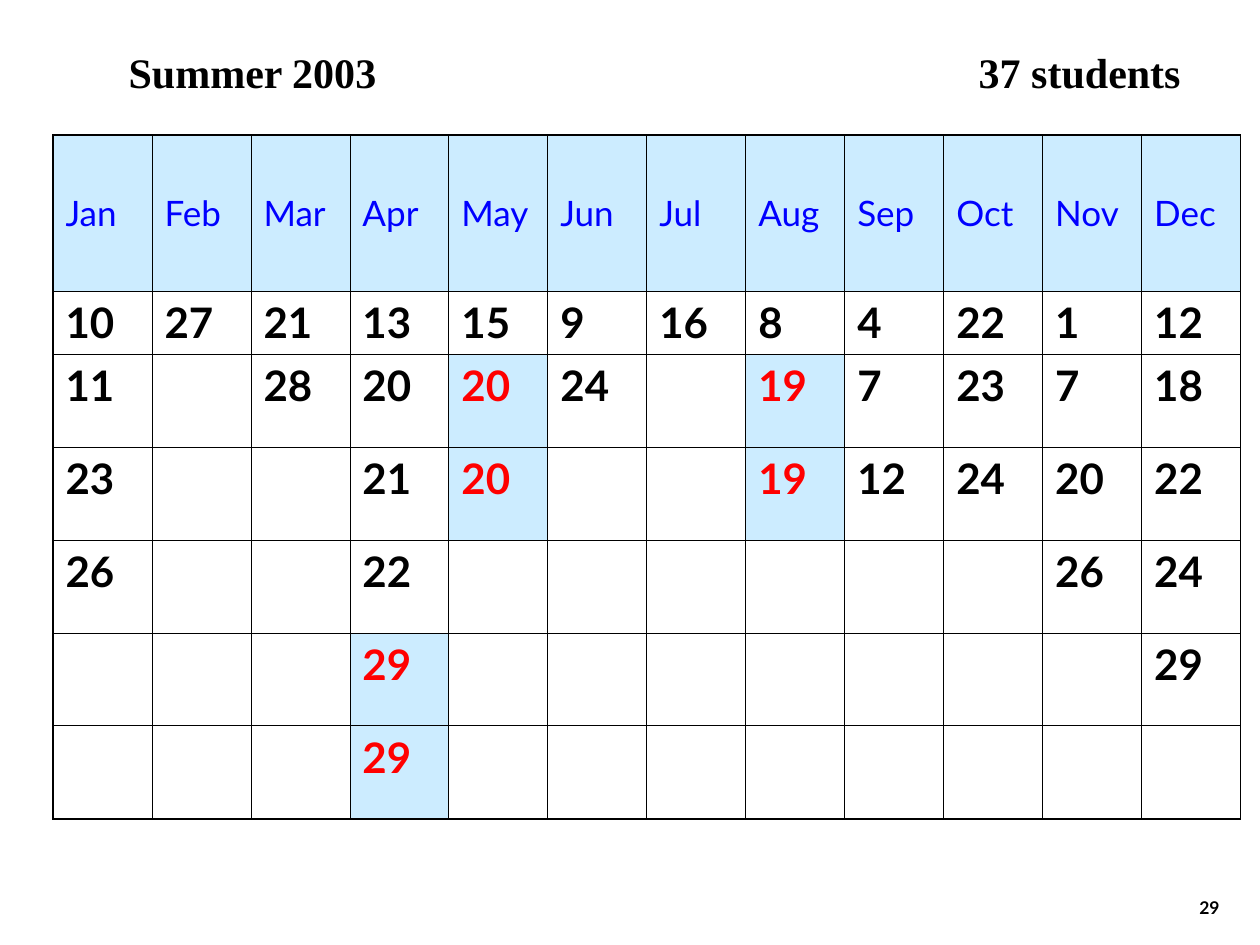
from dataclasses import dataclass

import pptx
import pptx.dml.color
import pptx.enum.text
import pptx.oxml
import pptx.oxml.ns
import pptx.util

ANCHOR = pptx.enum.text.MSO_ANCHOR
ALIGN = pptx.enum.text.PP_ALIGN
SCALE = 914400 / 126


@dataclass(frozen=True)
class Theme:
    ink: str = "000000"
    month: str = "0000FF"
    alert: str = "FF0000"
    tint: str = "CCECFF"
    sans: str = "Lato"
    serif: str = "Times New Roman"
    head: int = 24
    label: int = 20
    day: int = 24
    page: int = 10
    thick: float = 1.08
    thin: float = 0.45


@dataclass(frozen=True)
class Box:
    left: int
    top: int
    width: int
    height: int


@dataclass(frozen=True)
class Month:
    name: str
    days: tuple[int, ...]
    hot: tuple[int, ...] = ()


THEME = Theme()
TITLE = Box(116, 40, 1081, 63)
PAGE = Box(970, 861, 262, 63)
GRID = Box(53, 135, 1188, 684)
ROWS = (156, 63, 93, 93, 93, 93, 93)
TAB = 1052
MONTHS = (
    Month("Jan", (10, 11, 23, 26)),
    Month("Feb", (27,)),
    Month("Mar", (21, 28)),
    Month("Apr", (13, 20, 21, 22, 29, 29), hot=(29,)),
    Month("May", (15, 20, 20), hot=(20,)),
    Month("Jun", (9, 24)),
    Month("Jul", (16,)),
    Month("Aug", (8, 19, 19), hot=(19,)),
    Month("Sep", (4, 7, 12)),
    Month("Oct", (22, 23, 24)),
    Month("Nov", (1, 7, 20, 26)),
    Month("Dec", (12, 18, 22, 24, 29)),
)


def px(count: int) -> int:
    return round(count * SCALE)


def place(box: Box) -> tuple[int, ...]:
    return tuple(px(n) for n in (box.left, box.top, box.width, box.height))


def style(para, face: str, size: int, color: str, bold: bool = True) -> None:
    font = para.font
    font.name, font.size, font.bold = face, pptx.util.Pt(size), bold
    font.color.rgb = pptx.dml.color.RGBColor.from_string(color)


def edge(cell, widths: dict[str, float]) -> None:
    """Draw the cell borders, given in points and in schema order."""
    props = cell._tc.get_or_add_tcPr()
    for spot, (side, width) in enumerate(widths.items()):
        props.insert(spot, pptx.oxml.parse_xml(
            f'<a:ln{side} {pptx.oxml.ns.nsdecls("a")} w="{pptx.util.Pt(width)}">'
            f'<a:solidFill><a:srgbClr val="{THEME.ink}"/></a:solidFill>'
            f'</a:ln{side}>'))


def tint(cell, on: bool) -> None:
    if on:
        cell.fill.solid()
        cell.fill.fore_color.rgb = pptx.dml.color.RGBColor.from_string(THEME.tint)
    else:
        cell.fill.background()


def add_title(slide) -> None:
    shape = slide.shapes.title
    shape.left, shape.top, shape.width, shape.height = place(TITLE)
    frame = shape.text_frame
    frame.word_wrap = True
    frame.auto_size = pptx.enum.text.MSO_AUTO_SIZE.NONE
    frame.vertical_anchor = ANCHOR.BOTTOM
    para = frame.paragraphs[0]
    para.text = "Summer 2003\t37 students"
    para.alignment = ALIGN.LEFT
    para._p.get_or_add_pPr().append(pptx.oxml.parse_xml(
        f'<a:tabLst {pptx.oxml.ns.nsdecls("a")}>'
        f'<a:tab pos="{px(TAB)}" algn="r"/></a:tabLst>'))
    style(para, THEME.serif, THEME.head, THEME.ink)


def add_page(slide) -> None:
    frame = slide.shapes.add_textbox(*place(PAGE)).text_frame
    frame.word_wrap = True
    frame.vertical_anchor = ANCHOR.BOTTOM
    para = frame.paragraphs[0]
    para.text = "29"
    para.alignment = ALIGN.RIGHT
    style(para, THEME.sans, THEME.page, THEME.ink)


def fill_month(table, col: int, month: Month) -> None:
    last = len(ROWS) - 1
    for row in range(len(ROWS)):
        cell = table.cell(row, col)
        day = month.days[row - 1] if 0 < row <= len(month.days) else None
        hot = day in month.hot
        tint(cell, row == 0 or hot)
        outer = {"L": col == 0, "R": col == len(MONTHS) - 1,
                 "T": row == 0, "B": row == last}
        edge(cell, {side: THEME.thick if rim else THEME.thin
                    for side, rim in outer.items()})
        para = cell.text_frame.paragraphs[0]
        if row == 0:
            cell.vertical_anchor = ANCHOR.MIDDLE
            para.text = month.name
            style(para, THEME.sans, THEME.label, THEME.month, bold=False)
        elif day is not None:
            para.text = str(day)
            style(para, THEME.sans, THEME.day, THEME.alert if hot else THEME.ink)


def add_grid(slide) -> None:
    table = slide.shapes.add_table(len(ROWS), len(MONTHS), *place(GRID)).table
    table.first_row = table.horz_banding = False
    for row, height in zip(table.rows, ROWS):
        row.height = px(height)
    for col, month in enumerate(MONTHS):
        table.columns[col].width = px(GRID.width // len(MONTHS))
        fill_month(table, col, month)


def main() -> None:
    deck = pptx.Presentation()
    deck.slide_width, deck.slide_height = px(1260), px(945)
    slide = deck.slides.add_slide(deck.slide_layouts[5])
    add_page(slide)
    add_title(slide)
    add_grid(slide)
    deck.save("out.pptx")


if __name__ == "__main__":
    main()
